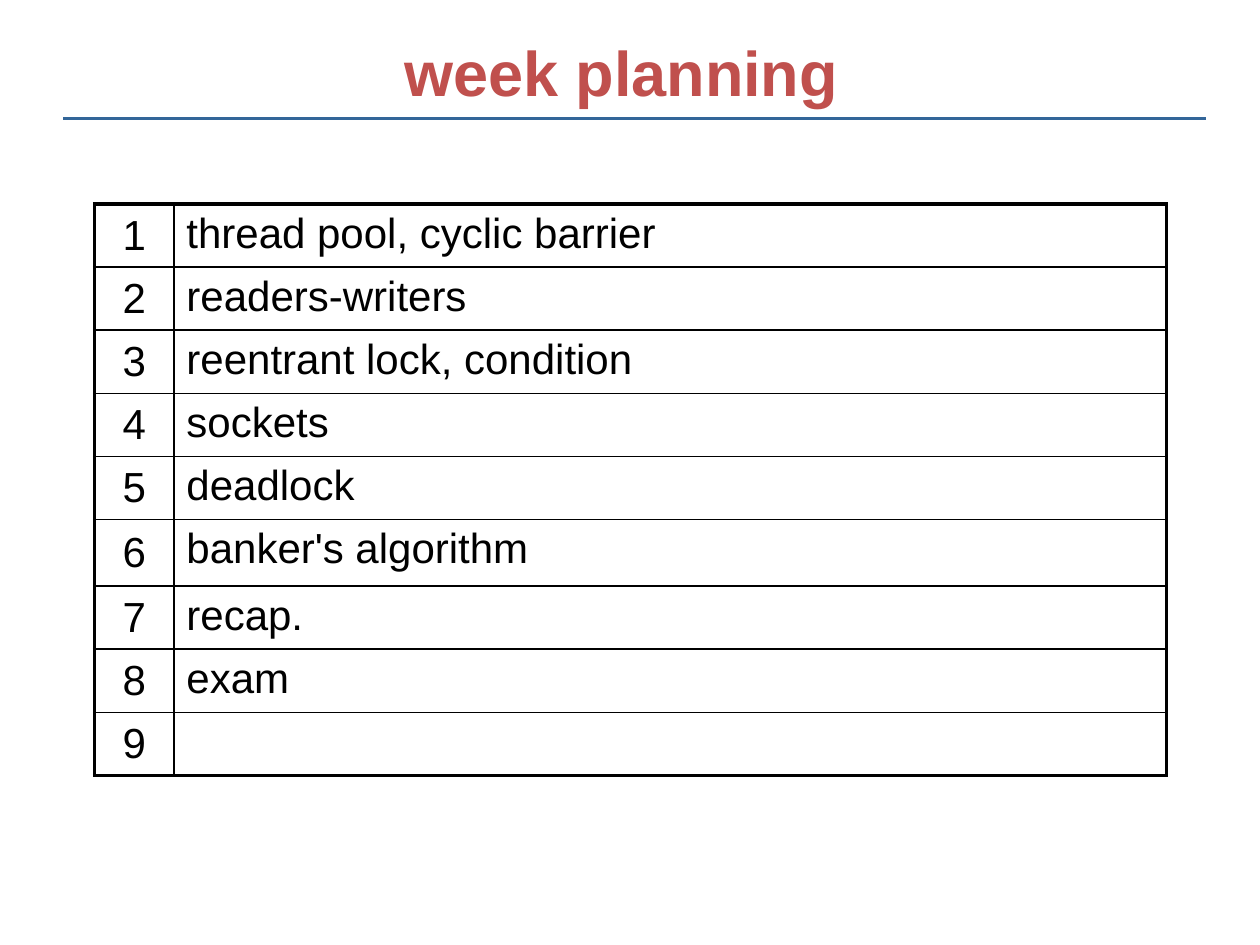
"""Build the week planning slide."""
from dataclasses import dataclass

from lxml.etree import SubElement
from pptx import Presentation
from pptx.dml.color import RGBColor
from pptx.enum.shapes import MSO_CONNECTOR
from pptx.enum.text import MSO_ANCHOR, PP_ALIGN
from pptx.oxml import parse_xml
from pptx.oxml.ns import nsdecls, qn
from pptx.util import Pt

COLORS = {"title": "C0504D", "rule": "336699", "ink": "000000"}
FONT = "Arial"
THIN, THICK = 1, 2.25
COL_WIDTHS = (45.36, 567.36)


@dataclass
class Week:
    topic: str
    height: float = 32.4


WEEKS = [
    Week("thread pool, cyclic barrier", 36),
    Week("readers-writers"),
    Week("reentrant lock, condition"),
    Week("sockets"),
    Week("deadlock"),
    Week("banker's algorithm", 38.16),
    Week("recap."),
    Week("exam", 36),
    Week(""),
]


def set_text(tf, text: str, size: float, color: str, align, bold: bool = False) -> None:
    p = tf.paragraphs[0]
    p.text = text
    p.alignment = align
    p.font.name = FONT
    p.font.size = Pt(size)
    p.font.bold = bold
    p.font.color.rgb = RGBColor.from_string(COLORS[color])


def set_borders(cell, widths: dict[str, float]) -> None:
    tc_pr = cell._tc.get_or_add_tcPr()
    for i, (side, width) in enumerate(widths.items()):
        tc_pr.insert(i, parse_xml(
            f'<a:ln{side} {nsdecls("a")} w="{Pt(width)}"><a:solidFill>'
            f'<a:srgbClr val="{COLORS["ink"]}"/></a:solidFill></a:ln{side}>'))


def add_title(s, text: str) -> None:
    tf = s.shapes.add_textbox(Pt(0), Pt(15.12), Pt(720), Pt(51.12)).text_frame
    tf.word_wrap = True
    tf.vertical_anchor = MSO_ANCHOR.MIDDLE
    set_text(tf, text, 36, "title", PP_ALIGN.CENTER, bold=True)


def add_rule(s, left: float, right: float, y: float) -> None:
    line = s.shapes.add_connector(MSO_CONNECTOR.STRAIGHT, Pt(left), Pt(y), Pt(right), Pt(y))
    line.line.color.rgb = RGBColor.from_string(COLORS["rule"])
    line.line.width = Pt(1.5)
    SubElement(line._element.spPr, qn("a:effectLst"))


def add_plan(s, weeks: list[Week], left: float, top: float) -> None:
    height = sum(week.height for week in weeks)
    table = s.shapes.add_table(len(weeks), 2, Pt(left), Pt(top),
                               Pt(sum(COL_WIDTHS)), Pt(height)).table
    table.first_row = table.horz_banding = False
    for column, width in zip(table.columns, COL_WIDTHS):
        column.width = Pt(width)
    last = len(weeks) - 1
    for i, week in enumerate(weeks):
        table.rows[i].height = Pt(week.height)
        number, topic = table.rows[i].cells
        number.vertical_anchor = MSO_ANCHOR.MIDDLE
        set_text(number.text_frame, str(i + 1), 24, "ink", PP_ALIGN.CENTER)
        set_text(topic.text_frame, week.topic, 24, "ink", PP_ALIGN.LEFT)
        for cell in (number, topic):
            cell.fill.background()
            set_borders(cell, {
                "L": THICK if cell is number else THIN,
                "R": THICK if cell is topic else THIN,
                "T": THICK if i == 0 else THIN,
                "B": THICK if i == last else THIN,
            })


def main() -> None:
    prs = Presentation()
    prs.slide_width, prs.slide_height = Pt(720), Pt(540)
    s = prs.slides.add_slide(prs.slide_layouts[6])
    add_rule(s, 36, 689, 67.68)
    add_title(s, "week planning ")
    add_plan(s, WEEKS, 54, 116.64)
    prs.save("out.pptx")


if __name__ == "__main__":
    main()
